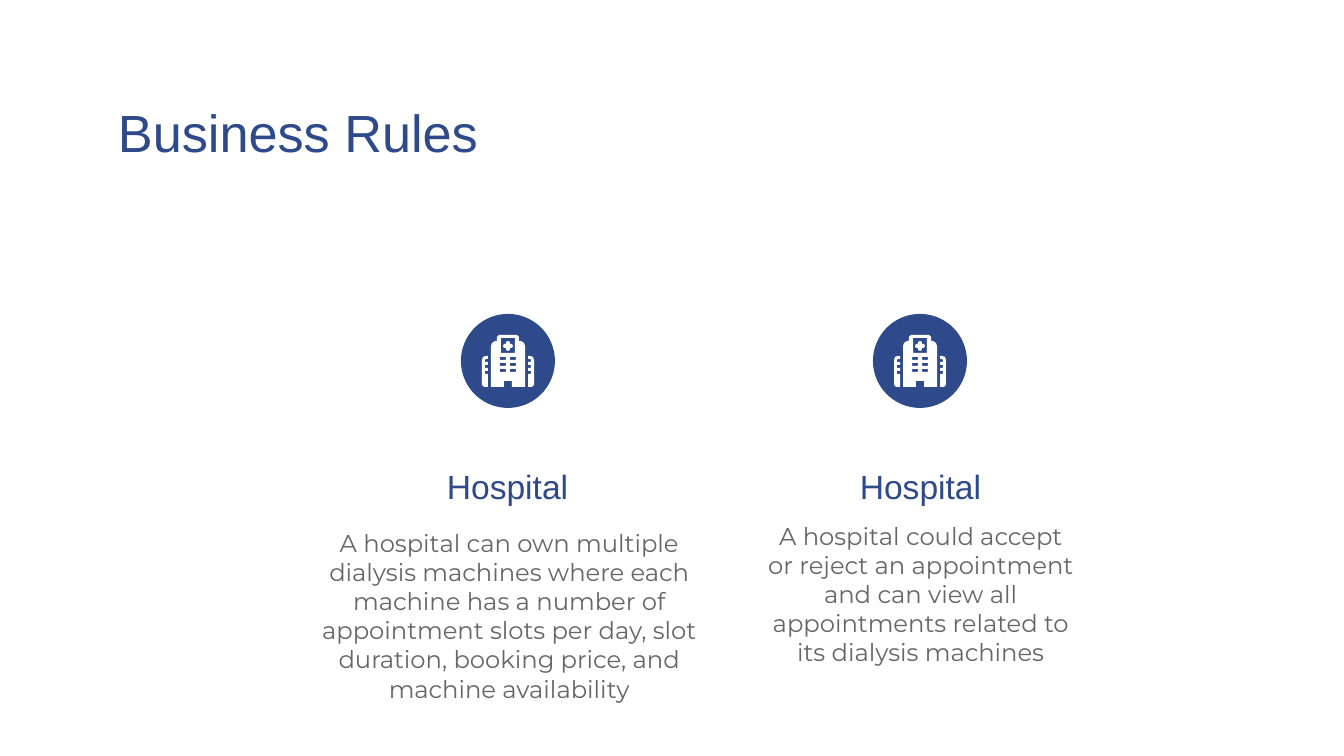
import pptx
import pptx.dml.color
import pptx.enum.shapes
import pptx.enum.text
import pptx.util

PX = 914400 / 134.4
NAVY, GREY, WHITE = "2F4A8A", "666666", "FFFFFF"


def paint(shape, color):
    """Give a shape a plain fill without line or shadow."""
    shape.fill.solid()
    shape.fill.fore_color.rgb = pptx.dml.color.RGBColor.from_string(color)
    shape.line.fill.background()
    shape.shadow.inherit = False


def add_text(bounds, text, size, font, color, align, top_inset):
    box = page.shapes.add_textbox(*[round(length * PX) for length in bounds])
    frame = box.text_frame
    frame.word_wrap = True
    frame.margin_left = frame.margin_right = frame.margin_bottom = round(13 * PX)
    frame.margin_top = round(top_inset * PX)
    para = frame.paragraphs[0]
    para.text = text
    para.alignment = align
    para.font.size = pptx.util.Pt(size)
    para.font.name = font
    para.font.color.rgb = pptx.dml.color.RGBColor.from_string(color)


deck = pptx.Presentation()
deck.slide_width = round(1344 * PX)
deck.slide_height = round(756 * PX)
page = deck.slides.add_slide(deck.slide_layouts[6])

LEFT, CENTER = pptx.enum.text.PP_ALIGN.LEFT, pptx.enum.text.PP_ALIGN.CENTER
add_text((105, 81, 1134, 69), "Business Rules", 28, "Arial", NAVY, LEFT, 19)

# Heading left, then rule left, top and width
rules = [
    (340, 306, 515, 406,
     "A hospital can own multiple dialysis machines where each machine has a number of "
     "appointment slots per day, slot duration, booking price, and machine availability"),
    (753, 753, 508, 335,
     "A hospital could accept or reject an appointment and can view all appointments "
     "related to its dialysis machines"),
]
for heading_left, rule_left, rule_top, rule_width, rule in rules:
    add_text((heading_left, 450, 335, 69), "Hospital", 18, "Arial", NAVY, CENTER, 16)
    add_text((rule_left, rule_top, rule_width, 113), rule, 13, "Montserrat", GREY, CENTER, 13)

# Hospital icon outlines, in px from the centre of its circle
cross = [(-2, -19), (0, -20), (2, -19), (2, -17), (4, -17), (5, -15), (4, -13), (2, -13),
         (2, -11), (0, -10), (-2, -11), (-2, -13), (-4, -13), (-5, -15), (-4, -17), (-2, -17)]
left_wing = [(-26, -1), (-25, -4), (-22, -5), (-20, -5), (-20, -2), (-22, -2), (-23, -1)]
for notch_bottom in (1, 7):
    left_wing += [(-23, notch_bottom), (-20, notch_bottom),
                  (-20, notch_bottom + 3), (-23, notch_bottom + 3)]
left_wing += [(-23, 13), (-20, 13), (-20, 26), (-24, 26), (-26, 24)]
right_wing = [(-x, y) for x, y in left_wing]
half_tower = [(-4, 20), (-4, 26), (-17, 26), (-17, -15), (-16, -18), (-13, -20),
              (-11, -20), (-11, -24), (-9, -26)]
tower = half_tower + [(-x, y) for x, y in reversed(half_tower)]
openings = [(-7, -23, 7, -8)]
openings += [(x, y, x + 6, y + 3) for y in (-4, 2, 8) for x in (-8, 2)]
tower_contours = [tower]
for left, top, right, bottom in openings:
    tower_contours.append([(left, top), (right, top), (right, bottom), (left, bottom)])

for center_x in (508, 920):
    center_y = 361
    circle = page.shapes.add_shape(
        pptx.enum.shapes.MSO_SHAPE.OVAL, round((center_x - 47) * PX),
        round((center_y - 47) * PX), round(94 * PX), round(94 * PX))
    paint(circle, NAVY)
    icon = page.shapes.add_group_shape()
    for contours in ([cross], [left_wing], [right_wing], tower_contours):
        builder = icon.shapes.build_freeform(*contours[0][0], scale=PX)
        builder.add_line_segments(contours[0][1:], close=True)
        for contour in contours[1:]:
            builder.move_to(*contour[0])
            builder.add_line_segments(contour[1:], close=True)
        paint(builder.convert_to_shape(round(center_x * PX), round(center_y * PX)), WHITE)

deck.save("out.pptx")
